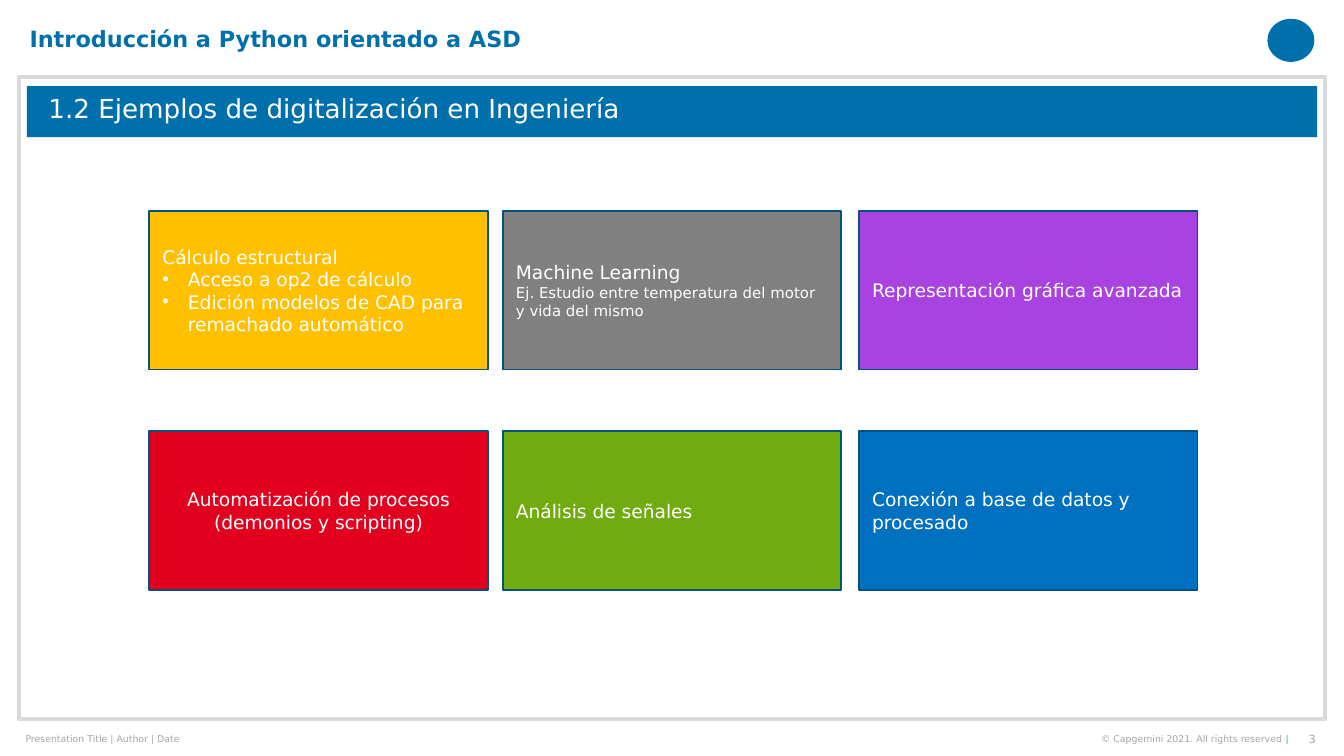
from pptx import Presentation
from pptx.dml.color import RGBColor
from pptx.enum.shapes import MSO_SHAPE
from pptx.enum.text import MSO_ANCHOR, MSO_AUTO_SIZE, PP_ALIGN
from pptx.oxml.ns import qn
from pptx.util import Inches, Pt
from lxml.etree import SubElement

FONT = "DejaVu Sans"
COLORS = {
    "blue": "0070AD", "cyan": "12ABDB", "white": "FFFFFF", "edge": "005380",
    "frame": "D9D9D9", "note": "A6A6A6", "gold": "FFC000", "gray": "808080",
    "purple": "A842E0", "red": "E3001F", "green": "70AC10", "sky": "0070C0",
}

# Slide in 16:9 and card grid, in inches
WIDTH = 10
HEIGHT = WIDTH * 9 / 16
COLS = (1.11, 3.74, 6.39)
ROWS = (1.57, 3.21)
CARD_W, CARD_H = 2.52, 1.18

# Each card: fill, alignment, lines of (text, size, bullet)
CARDS = [
    [("gold", PP_ALIGN.LEFT, [
        ("Cálculo estructural", 10, False),
        ("Acceso a op2 de cálculo", 10, True),
        ("Edición modelos de CAD para remachado automático", 10, True)]),
     ("gray", PP_ALIGN.LEFT, [
         ("Machine Learning", 10, False),
         ("Ej. Estudio entre temperatura del motor y vida del mismo", 8, False)]),
     ("purple", PP_ALIGN.LEFT, [("Representación gráfica avanzada", 10, False)])],
    [("red", PP_ALIGN.CENTER, [
        ("Automatización de procesos (demonios y scripting)", 10, False)]),
     ("green", PP_ALIGN.LEFT, [("Análisis de señales", 10, False)]),
     ("sky", PP_ALIGN.LEFT, [("Conexión a base de datos y procesado", 10, False)])],
]


def color(name):
    return RGBColor.from_string(COLORS[name])


def style(run, size, tint, bold=False):
    font = run.font
    font.name, font.size, font.bold = FONT, Pt(size), bold
    font.color.rgb = color(tint)


def place(shape, box):
    shape.left, shape.top, shape.width, shape.height = map(Inches, box)


def add_box(slide, box, fill=None, line=None, width=1, kind=MSO_SHAPE.RECTANGLE):
    shape = slide.shapes.add_shape(kind, *map(Inches, box))
    shape.shadow.inherit = False
    if fill:
        shape.fill.solid()
        shape.fill.fore_color.rgb = color(fill)
    else:
        shape.fill.background()
    if line:
        shape.line.color.rgb = color(line)
        shape.line.width = Pt(width)
    else:
        shape.line.fill.background()
    return shape


def set_label(shape, text, size, tint, align=PP_ALIGN.LEFT,
              anchor=MSO_ANCHOR.MIDDLE, bold=False, space=None):
    """Write one line of text with no margins."""
    frame = shape.text_frame
    frame.margin_left = frame.margin_right = 0
    frame.margin_top = frame.margin_bottom = 0
    frame.word_wrap = True
    frame.auto_size = MSO_AUTO_SIZE.NONE
    frame.vertical_anchor = anchor
    frame.text = text
    para = frame.paragraphs[0]
    para.alignment = align
    para.line_spacing = space
    style(para.runs[0], size, tint, bold)
    return para


def add_label(slide, box, *args, **opts):
    return set_label(slide.shapes.add_textbox(*map(Inches, box)), *args, **opts)


def add_bullet(para):
    props = para._p.get_or_add_pPr()
    props.set("marL", str(Inches(0.19)))
    props.set("indent", str(-Inches(0.19)))
    SubElement(props, qn("a:buFont")).set("typeface", "Arial")
    SubElement(props, qn("a:buChar")).set("char", "•")


def add_card(slide, left, top, fill, align, lines):
    frame = add_box(slide, (left, top, CARD_W, CARD_H), fill, "edge").text_frame
    frame.word_wrap = True
    frame.vertical_anchor = MSO_ANCHOR.MIDDLE
    frame.text = "\n".join(text for text, _, _ in lines)
    for para, (_, size, bullet) in zip(frame.paragraphs, lines):
        para.alignment = align
        if bullet:
            add_bullet(para)
        style(para.runs[0], size, "white")


def add_footer(slide):
    add_label(slide, (0.19, 5.45, 3.87, 0.1),
              "Presentation Title | Author | Date", 5, "note")
    para = add_label(slide, (7.4, 5.45, 2.19, 0.1),
                     "© Capgemini 2021. All rights reserved ", 5, "note",
                     PP_ALIGN.RIGHT)
    bar = para.add_run()
    bar.text = "|"
    style(bar, 5, "cyan")
    add_label(slide, (9.6, 5.45, 0.19, 0.1), "3", 6, "note", PP_ALIGN.RIGHT)


def add_title(slide):
    title = slide.shapes.title
    place(title, (0.36, 0.68, 6.29, 0.28))
    set_label(title, "1.2 Ejemplos de digitalización en Ingeniería", 14,
              "white", space=0.9)
    # Bring the title in front of its banner
    title._element.getparent().append(title._element)


def main():
    deck = Presentation()
    deck.slide_width, deck.slide_height = Inches(WIDTH), Inches(HEIGHT)
    slide = deck.slides.add_slide(deck.slide_layouts[5])

    # Emblem, banner and frame
    add_box(slide, (9.43, 0.14, 0.35, 0.32), "blue", kind=MSO_SHAPE.OVAL)
    add_box(slide, (0.2, 0.64, 9.6, 0.38), "blue")
    add_box(slide, (0.14, 0.57, 9.72, 4.78), line="frame", width=2.25)

    # Headings and footer
    add_footer(slide)
    add_title(slide)
    add_label(slide, (0.22, 0.21, 5.26, 0.24),
              "Introducción a Python orientado a ASD", 12, "blue",
              anchor=MSO_ANCHOR.TOP, bold=True, space=0.9)

    # Cards
    for top, cards in zip(ROWS, CARDS):
        for left, card in zip(COLS, cards):
            add_card(slide, left, top, *card)

    deck.save("out.pptx")


if __name__ == "__main__":
    main()
